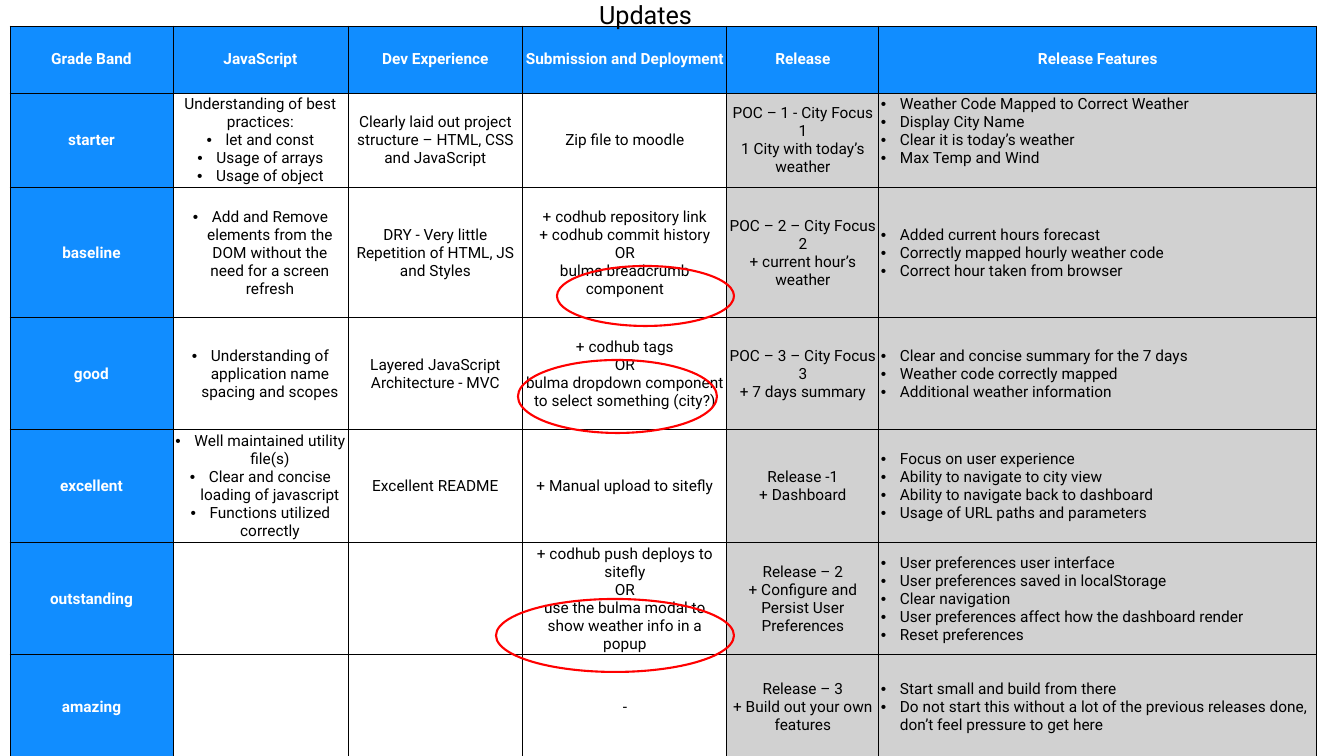
from dataclasses import dataclass

from lxml import etree
from pptx import Presentation
from pptx import util as u
from pptx.dml.color import RGBColor
from pptx.enum import shapes, text
from pptx.oxml.ns import qn


@dataclass(frozen=True)
class Theme:
    font: str = "Roboto"
    blue: str = "118DFF"
    gray: str = "D1D1D1"
    black: str = "000000"
    white: str = "FFFFFF"
    red: str = "FF0000"
    title_size: int = 18
    cell_size: int = 11


T = Theme()
PX = 914400 / 100.8
BULLET = "• "
CENTER, LEFT = text.PP_ALIGN.CENTER, text.PP_ALIGN.LEFT


def px(n):
    return u.Emu(round(n * PX))


def add_text(tf, content, size=T.cell_size, color=T.black, bold=False, align=CENTER):
    """Fill a frame: newline starts a paragraph, vertical tab breaks a line."""
    for i, line in enumerate(content.split("\n")):
        p = tf.paragraphs[0] if i == 0 else tf.add_paragraph()
        p.text = line.removeprefix(BULLET)
        p.alignment = align
        if line.startswith(BULLET):
            pPr = p._p.get_or_add_pPr()
            pPr.set("marL", str(px(19)))
            pPr.set("indent", str(-px(19)))
            etree.SubElement(pPr, qn("a:buFont"), typeface="Arial")
            etree.SubElement(pPr, qn("a:buChar"), char=BULLET.strip())
        for br in p._p.findall(qn("a:br")):
            etree.SubElement(br, qn("a:rPr"), sz=str(size * 100))
        for r in p.runs:
            r.font.name, r.font.size, r.font.bold = T.font, u.Pt(size), bold
            r.font.color.rgb = RGBColor.from_string(color)


prs = Presentation()
prs.slide_width, prs.slide_height = px(1344), px(756)
s = prs.slides.add_slide(prs.slide_layouts[5])

# Grade table
COLS = [163, 175, 175, 204, 152, 438]
ROWS = [67, 95, 130, 112, 113, 104, 104]
GRADES = [
    ["Grade Band", "JavaScript", "Dev Experience", "Submission and Deployment",
     "Release", "Release Features"],
    ["starter",
     "Understanding of best practices:\n• let and const\n• Usage of arrays\n• Usage of object",
     "Clearly laid out project structure – HTML, CSS and JavaScript",
     "Zip file to moodle",
     "POC – 1 - City Focus 1\v1 City with today’s weather",
     "• Weather Code Mapped to Correct Weather\n• Display City Name\n"
     "• Clear it is today’s weather\n• Max Temp and Wind"],
    ["baseline",
     "• Add and Remove elements from the DOM without the need for a screen refresh",
     "DRY - Very little Repetition of HTML, JS and Styles",
     "+ codhub repository link\v+ codhub commit history\vOR\nbulma breadcrumb component",
     "POC – 2 – City Focus 2\v+ current hour’s weather",
     "• Added current hours forecast\n• Correctly mapped hourly weather code\n"
     "• Correct hour taken from browser"],
    ["good",
     "• Understanding of application name spacing and scopes",
     "Layered JavaScript Architecture - MVC",
     "+ codhub tags\vOR\nbulma dropdown component to select something (city?)",
     "POC – 3 – City Focus 3\v+ 7 days summary",
     "• Clear and concise summary for the 7 days\n• Weather code correctly mapped\n"
     "• Additional weather information"],
    ["excellent",
     "• Well maintained utility file(s)\n• Clear and concise loading of javascript\n"
     "• Functions utilized correctly",
     "Excellent README",
     "+ Manual upload to sitefly",
     "Release -1\v+ Dashboard",
     "• Focus on user experience\n• Ability to navigate to city view\n"
     "• Ability to navigate back to dashboard\n• Usage of URL paths and parameters"],
    ["outstanding", "", "",
     "+ codhub push deploys to sitefly\vOR\vuse the bulma modal to show weather info in a popup",
     "Release – 2\v+ Configure and Persist User Preferences",
     "• User preferences user interface\n• User preferences saved in localStorage\n"
     "• Clear navigation\n• User preferences affect how the dashboard render\n"
     "• Reset preferences"],
    ["amazing", "", "", "-",
     "Release – 3\v+ Build out your own features",
     "• Start small and build from there\n• Do not start this without a lot of the "
     "previous releases done, don’t feel pressure to get here"],
]

table = s.shapes.add_table(len(ROWS), len(COLS), px(10), px(26),
                           px(sum(COLS)), px(sum(ROWS))).table
table.first_row = table.horz_banding = False
for col, width in zip(table.columns, COLS):
    col.width = px(width)
for row, height in zip(table.rows, ROWS):
    row.height = px(height)

for i, grade in enumerate(GRADES):
    for j, content in enumerate(grade):
        cell = table.cell(i, j)
        cell.vertical_anchor = text.MSO_ANCHOR.MIDDLE
        cell.margin_left = cell.margin_right = cell.margin_top = cell.margin_bottom = px(2)
        for side in ("lnL", "lnR", "lnT", "lnB"):
            ln = etree.SubElement(cell._tc.get_or_add_tcPr(), qn(f"a:{side}"), w=str(u.Pt(0.75)))
            fill = etree.SubElement(ln, qn("a:solidFill"))
            etree.SubElement(fill, qn("a:srgbClr"), val=T.black)
        heading = i == 0 or j == 0
        if heading or j >= 4:
            cell.fill.solid()
            cell.fill.fore_color.rgb = RGBColor.from_string(T.blue if heading else T.gray)
        else:
            cell.fill.background()
        if content:
            add_text(cell.text_frame, content, bold=heading,
                     color=T.white if heading else T.black,
                     align=LEFT if j == 5 and not heading else CENTER)
table.cell(1, 5).margin_bottom = px(20)

# Rings around the new options
for ring in [(496, 599, 238, 73), (518, 360, 199, 73), (557, 266, 177, 60)]:
    sp = s.shapes.add_shape(shapes.MSO_SHAPE.OVAL, *map(px, ring))
    sp.shadow.inherit = False
    sp.fill.background()
    sp.line.color.rgb = RGBColor.from_string(T.red)
    sp.line.width = u.Pt(1.5)

# Title, in front of the table
title = s.shapes.title
title.left, title.top, title.width, title.height = map(px, (589, -6, 114, 40))
tf = title.text_frame
tf.word_wrap = False
tf.auto_size = text.MSO_AUTO_SIZE.NONE
tf.vertical_anchor = text.MSO_ANCHOR.TOP
add_text(tf, "Updates", size=T.title_size, align=LEFT)
s.shapes._spTree.append(title._element)

prs.save("out.pptx")
